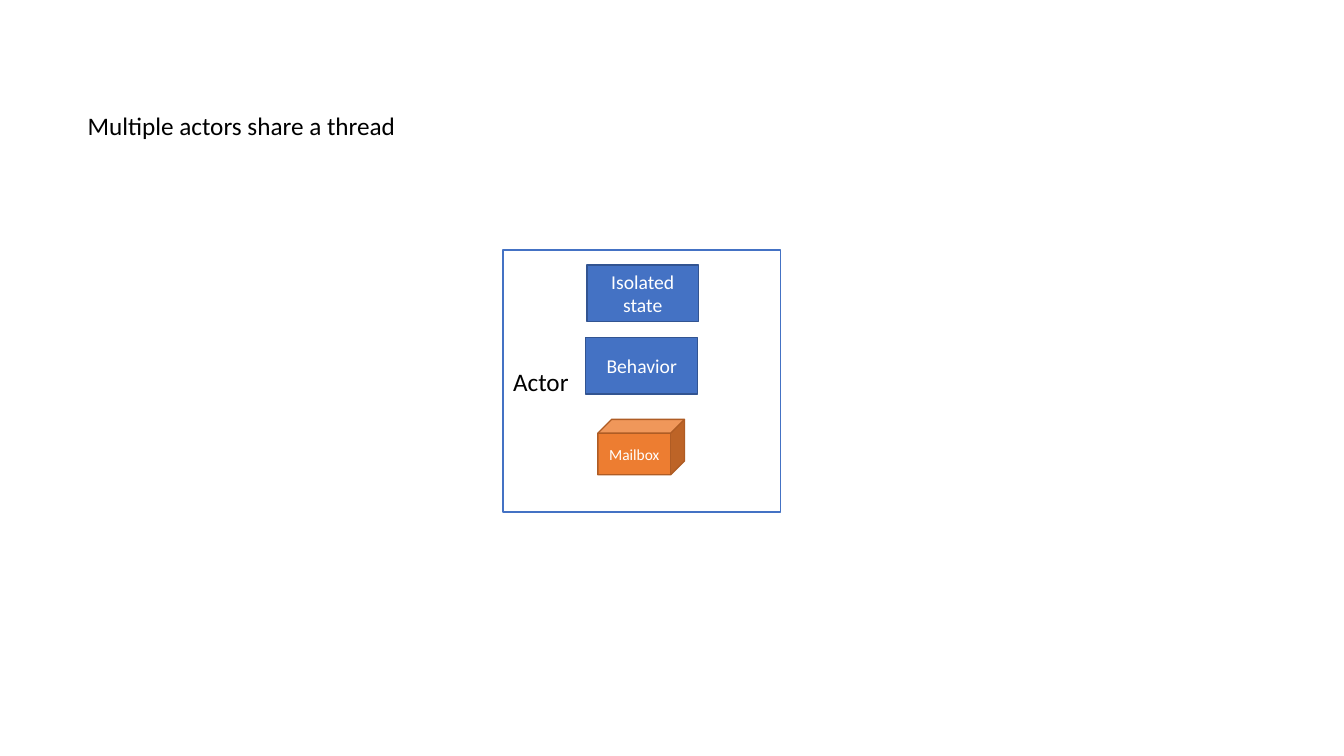
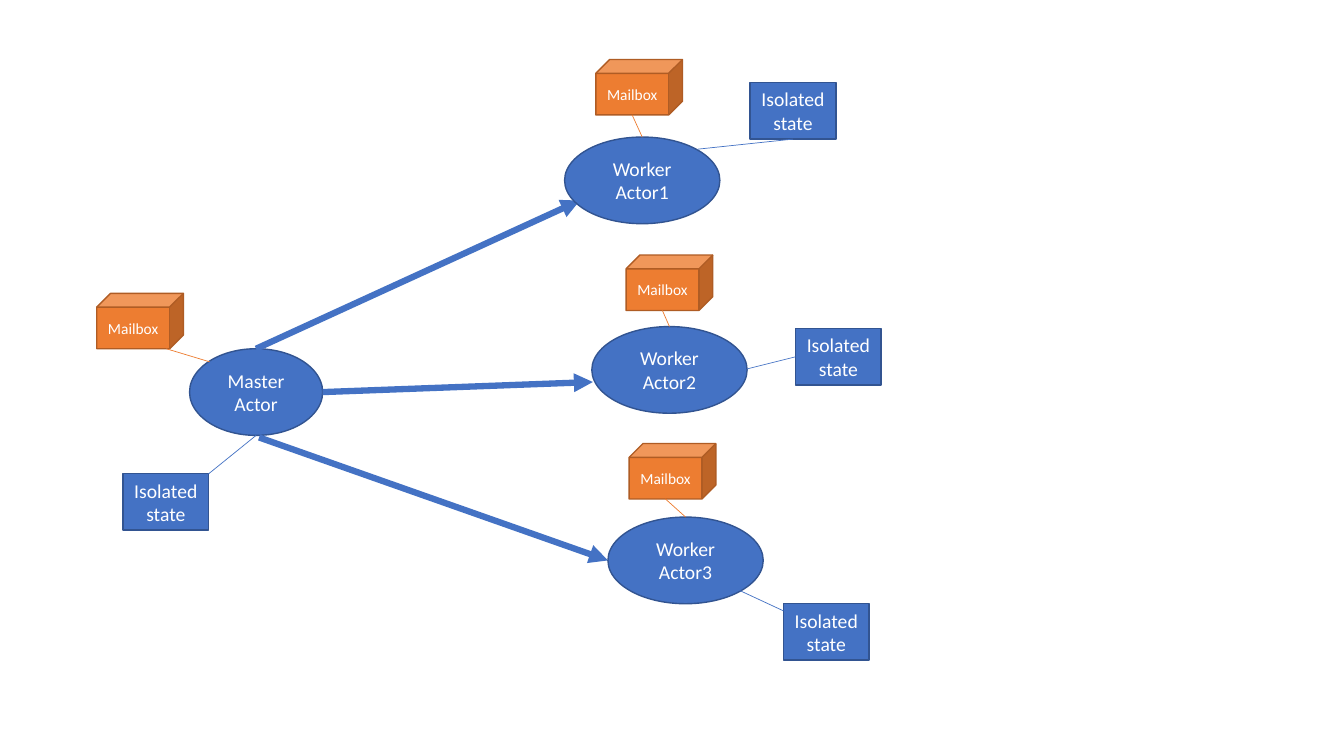
from lxml import etree
from pptx import Presentation, util as u
from pptx.dml.color import RGBColor
from pptx.enum import shapes as s, text as t
from pptx.oxml.ns import qn

BLUE = RGBColor(0x44, 0x72, 0xC4)
NAVY = RGBColor(0x32, 0x54, 0x91)
ORANGE = RGBColor(0xED, 0x7D, 0x31)
RUST = RGBColor(0xAF, 0x5C, 0x24)
WHITE = RGBColor(0xFF, 0xFF, 0xFF)
BLACK = RGBColor(0, 0, 0)

RECT, OVAL, CUBE = s.MSO_SHAPE.RECTANGLE, s.MSO_SHAPE.OVAL, s.MSO_SHAPE.CUBE
MID, LEFT = t.PP_ALIGN.CENTER, t.PP_ALIGN.LEFT
STATE, MAIL, NODE = "Isolated state", "Mailbox", (1.54, 0.86)

LOOKS = {
    "frame": dict(kind=RECT, fill=WHITE, edge=BLUE, size=18, ink=BLACK, align=LEFT),
    "state": dict(kind=RECT, fill=BLUE, edge=NAVY, size=14, ink=WHITE, align=MID),
    "actor": dict(kind=OVAL, fill=BLUE, edge=NAVY, size=14, ink=WHITE, align=MID),
    "mail": dict(kind=CUBE, fill=ORANGE, edge=RUST, size=11, ink=WHITE, align=MID),
}

MASTER = dict(label="Master Actor", at=(1.88, 3.46), size=(1.32, 0.86),
              mail=(-0.92, -0.55), exit=0.69, entry=(0.2, 0.13),
              state=(-0.66, 1.24), out=(0.66, 0.86), corner=(0.85, 0))
WORKERS = [
    dict(label="Worker Actor1", at=(5.6, 1.36), mail=(0.31, -0.77),
         state=(1.84, -0.54), out=(1.32, 0.12), side=2),
    dict(label="Worker Actor2", at=(5.87, 3.24), mail=(0.34, -0.71),
         state=(2.02, 0.02), out=(1.54, 0.42), side=1),
    dict(label="Worker Actor3", at=(6.03, 5.13), mail=(0.21, -0.73),
         state=(1.74, 0.86), out=(1.31, 0.73), corner=(0, 0.07)),
]
ARROWS = [((0.66, 0), (0.15, 0.63)), ((1.32, 0.43), (0.01, 0.55)),
          ((0.69, 0.88), (0, 0.43))]


def add(a, b):
    """Return the sum of two points."""
    return a[0] + b[0], a[1] + b[1]


def inch(*nums):
    """Turn numbers into lengths."""
    return [u.Inches(n) for n in nums]


def write(shape, label, size, ink, align):
    """Fill a shape with one styled paragraph."""
    shape.text_frame.word_wrap = True
    para = shape.text_frame.paragraphs[0]
    para.alignment = align
    run = para.add_run()
    run.text = label
    run.font.color.rgb = ink
    for key, val in dict(name="Calibri", size=u.Pt(size)).items():
        setattr(run.font, key, val)


def block(slide, look, label, at, size):
    """Add a labelled shape in one of the shared looks."""
    style = LOOKS[look]
    shape = slide.shapes.add_shape(style["kind"], *inch(*at, *size))
    shape.shadow.inherit = False
    shape.fill.solid()
    shape.fill.fore_color.rgb = style["fill"]
    shape.line.color.rgb = style["edge"]
    shape.line.width = u.Pt(1)
    shape.text_frame.vertical_anchor = t.MSO_ANCHOR.MIDDLE
    write(shape, label, style["size"], style["ink"], style["align"])
    return shape


def link(slide, start, end, tint, width=0.5, head=False):
    """Add a straight line, with an arrowhead if asked."""
    line = slide.shapes.add_connector(s.MSO_CONNECTOR.STRAIGHT, *inch(*start, *end))
    line.line.color.rgb = tint
    line.line.width = u.Pt(width)
    if head:
        etree.SubElement(line.line._get_or_add_ln(), qn("a:tailEnd"), type="triangle")
    etree.SubElement(line._element.spPr, qn("a:effectLst"))
    return line


def mailbox(slide, at):
    """Add a mailbox cube."""
    return block(slide, "mail", MAIL, at, (0.86, 0.55))


def actor(slide, label, at, mail, state, out, size=NODE, exit=0.36,
          entry=None, corner=(0, 0), side=None):
    """Add an actor with its mailbox and state, placed from its corner."""
    node = block(slide, "actor", label, at, size)
    store = block(slide, "state", STATE, add(at, state), (0.85, 0.56))
    wire = link(slide, add(at, out), add(add(at, state), corner), BLUE)
    if side is not None:
        wire.end_connect(store, side)
    mailbox(slide, add(at, mail))
    foot = add(add(at, mail), (exit, 0.55))
    wire = link(slide, foot, add(at, entry or (size[0] / 2, 0)), ORANGE)
    if entry is None:
        wire.end_connect(node, 0)


def anatomy(slide, at, size):
    """Add the framed parts of one actor."""
    block(slide, "frame", "Actor", at, size)
    for label, spot in ((STATE, (0.83, 0.15)), ("Behavior", (0.82, 0.87))):
        block(slide, "state", label, add(at, spot), (1.11, 0.56))
    mailbox(slide, add(at, (0.94, 1.68)))


def caption(slide, label, at, size):
    """Add a plain line of text."""
    write(slide.shapes.add_textbox(*inch(*at, *size)), label, 18, BLACK, LEFT)


def network(slide):
    """Add the master, the workers and the arrows between them."""
    actor(slide, **MASTER)
    for worker, (start, end) in zip(WORKERS, ARROWS):
        link(slide, add(MASTER["at"], start), add(worker["at"], end), BLUE, 4.5, True)
        actor(slide, **worker)


def main():
    """Build and save the slides."""
    deck = Presentation()
    deck.slide_width, deck.slide_height = inch(13.33, 7.5)
    first, second = (deck.slides.add_slide(deck.slide_layouts[6]) for _ in range(2))
    anatomy(first, (4.99, 2.48), (2.75, 2.6))
    caption(first, "Multiple actors share a thread", (0.77, 1.05), (3.71, 0.4))
    network(second)
    deck.save("out.pptx")


if __name__ == "__main__":
    main()
